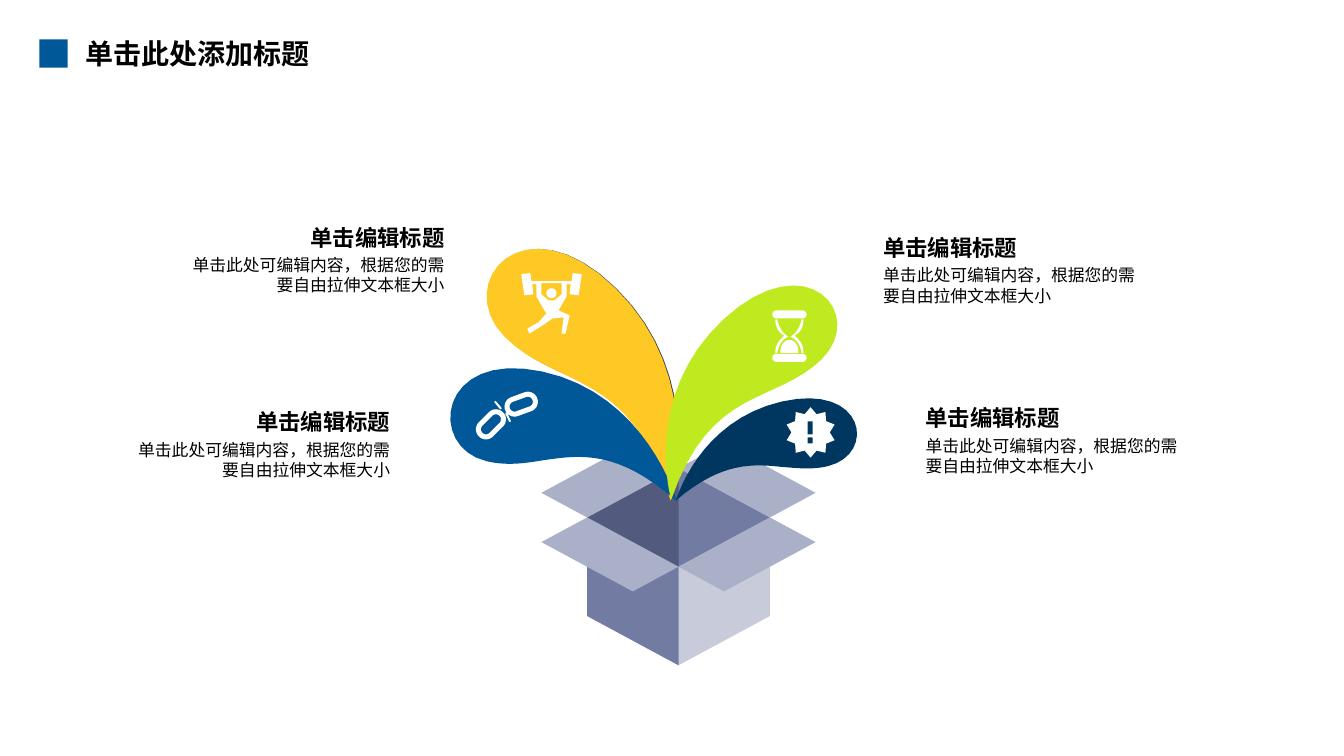
"""Build a slide with four petals and captions rising from an open box."""
from math import copysign, cos, pi, radians, sin

from lxml.etree import SubElement
from pptx import Presentation
from pptx.dml.color import RGBColor
from pptx.enum.shapes import MSO_SHAPE as Shape
from pptx.enum.text import MSO_AUTO_SIZE as Fit, PP_ALIGN as Align
from pptx.oxml.ns import qn
from pptx.util import Inches, Pt

TITLE = "单击此处添加标题"
HEAD = "单击编辑标题"
BODY = "单击此处可编辑内容，根据您的需要自由拉伸文本框大小"
CAPTIONS = [
    (8.76, 2.32, Align.LEFT),
    (4.41, 2.22, Align.RIGHT),
    (3.87, 4.05, Align.RIGHT),
    (9.18, 4.01, Align.LEFT),
]
HEX = {
    "blue": "005898", "navy": "003760", "gold": "FEC925", "lime": "BFEA1F",
    "shade": "404040", "white": "FFFFFF", "black": "000000",
    "pale": "C7CBDA", "mid": "727CA3", "deep": "525B7E", "flap": "AAB0C8",
}
HULL = [(0, 1), (2, 3), (2, 7), (0, 9)]
RIM = [(0, 1), (2, 3), (0, 5)]
SIDE = [(-2, 3), (-2, 7), (0, 9), (0, 5)]
FLAP = [(-3, 2), (-2, 3), (0, 1), (-1, 0)]

ARM = [(5.54, 3.08), (5.62, 2.94), (5.62, 2.82), (5.66, 2.82), (5.65, 2.92), (5.74, 2.93),
       (5.77, 2.72), (5.68, 2.71), (5.67, 2.79)]
LEGS = [(5.42, 3.11), (5.34, 3.2), (5.23, 3.26), (5.25, 3.31), (5.38, 3.23), (5.48, 3.16),
        (5.59, 3.15), (5.57, 3.31), (5.61, 3.31), (5.65, 3.13)]
GAP = [(5.5, 2.98), (5.57, 2.92), (5.57, 2.81)]
GLASS = [(7.95, 3.17), (7.97, 3.17), (7.97, 3.24, 7.94, 3.3, 7.88, 3.33),
         (7.94, 3.38, 7.97, 3.43, 7.97, 3.5), (7.95, 3.5), (7.94, 3.44, 7.91, 3.37, 7.84, 3.34),
         (7.9, 3.31, 7.94, 3.23, 7.95, 3.17)]
SAND = [(7.74, 3.5), (7.74, 3.33, 7.92, 3.33, 7.92, 3.5)]
GOLD = [(6.7, 4.97), (6.7, 4.97, 7.06, 3.75, 6.15, 2.86), (5.24, 1.97, 4.53, 2.81, 5.05, 3.34),
        (5.57, 3.87, 6.29, 3.64, 6.7, 4.97)]
BLUE = [(6.71, 4.98), (6.71, 4.98, 6.41, 3.91, 5.37, 3.69), (4.34, 3.47, 4.23, 4.44, 4.82, 4.58),
        (5.03, 4.63, 5.21, 4.6, 5.39, 4.57), (5.75, 4.52, 6.12, 4.46, 6.71, 4.98)]
LIME = [(6.7, 4.98), (6.7, 4.98, 6.4, 3.95, 7.22, 3.19), (8.04, 2.43, 8.65, 3.14, 8.19, 3.59),
        (7.72, 4.04, 7.09, 3.85, 6.7, 4.98)]
NAVY = [(6.71, 4.97), (6.71, 4.97, 6.93, 4.18, 7.76, 3.99), (8.59, 3.8, 8.7, 4.51, 8.22, 4.63),
        (8.06, 4.67, 7.91, 4.65, 7.77, 4.64), (7.48, 4.61, 7.17, 4.58, 6.71, 4.97)]


def flip(pts, x=None, y=None):
    """Mirror points about an upright line x and a level line y."""
    sums = (x, y)
    return [tuple(v if sums[i % 2] is None else 2 * sums[i % 2] - v
                  for i, v in enumerate(p)) for p in pts]


def pill(x, y, half, r, turn=0):
    """Outline a bar with round ends."""
    c, s = cos(radians(turn)), sin(radians(turn))
    loop = []
    for k in range(24):
        t = (k + 0.5) * pi / 12
        u, v = r * cos(t) + copysign(half, cos(t)), r * sin(t)
        loop.append((x + u * c - v * s, y + u * s + v * c))
    return loop


def block(x, y, w, h):
    """Outline a rectangle."""
    return [(x, y), (x + w, y), (x + w, y + h), (x, y + h)]


def burst(x, y, tips, far, near):
    """Outline a star."""
    return [(x + r * cos(t), y + r * sin(t)) for k in range(2 * tips)
            for r, t in [((near, far)[k % 2], k * pi / tips)]]


MAN = 5.47
LIFTER = [pill(MAN, 2.91, 0, 0.05), ARM + flip(ARM, x=MAN)[::-1] + LEGS,
          GAP + flip(GAP, x=MAN)[::-1]]
CHAIN = [pill(x, y, 0.07, r, turn) for x, y, turn in ((4.87, 4.21, -45), (5.17, 4.01, -20))
         for r in (0.1, 0.05)]
CHAIN += [pill(4.94, 4.02, 0.04, 0.01, 50), pill(5.04, 4.14, 0.04, 0.01, 65)]
HOURGLASS = [pill(7.83, 3.12, 0.13, 0.04), pill(7.83, 3.55, 0.13, 0.04),
             GLASS, flip(GLASS, x=7.83), SAND]
ALERT = [burst(8.04, 4.29, 10, 0.25, 0.19), block(8.01, 4.18, 0.05, 0.13),
         block(8.01, 4.34, 0.05, 0.06)]
PETALS = [
    ("shade", (5.83, 3.49), -10.5, GOLD, []),
    ("gold", (5.84, 3.49), -10.5, GOLD, LIFTER),
    ("blue", (5.5, 4.22), 2.9, BLUE, CHAIN),
    ("lime", (7.56, 3.66), -12.1, LIME, HOURGLASS),
    ("navy", (7.67, 4.39), -4.7, NAVY, ALERT),
]


def trace(pts, steps=16):
    """Turn corners and cubic curves into a list of points."""
    line = []
    for p in pts:
        if len(p) == 2:
            line.append(p)
            continue
        quad = [line[-1], p[:2], p[2:4], p[4:]]
        for t in (k / steps for k in range(1, steps + 1)):
            mix = ((1 - t) ** 3, 3 * t * (1 - t) ** 2, 3 * t * t * (1 - t), t ** 3)
            line.append(tuple(sum(m * q[a] for m, q in zip(mix, quad)) for a in (0, 1)))
    return line


def paint(shape, tint):
    """Give a shape a flat fill."""
    shape.shadow.inherit = False
    shape.fill.solid()
    shape.fill.fore_color.rgb = RGBColor.from_string(HEX[tint])
    shape.line.fill.background()


def draw(slide, tint, loops, hub=(0, 0), turn=0):
    """Draw closed outlines as one shape turned about its hub."""
    c, s = cos(radians(turn)), sin(radians(turn))

    def spot(p):
        x, y = p[0] - hub[0], p[1] - hub[1]
        return Inches(hub[0] + x * c + y * s), Inches(hub[1] - x * s + y * c)

    pen = None
    for loop in loops:
        pts = [spot(p) for p in trace(loop)]
        if pen:
            pen.move_to(*pts[0])
        else:
            pen = slide.shapes.build_freeform(*pts[0], scale=1.0)
        pen.add_line_segments(pts[1:], close=True)
    shape = pen.convert_to_shape()
    shape.rotation = turn
    paint(shape, tint)
    return shape


def write(slide, text, x, y, w, h, size=12, bold=False, face="Arial", align=Align.LEFT, inset=True):
    """Add a text box."""
    box = slide.shapes.add_textbox(*map(Inches, (x, y, w, h)))
    frame = box.text_frame
    frame.word_wrap = True
    frame.auto_size = Fit.SHAPE_TO_FIT_TEXT
    if not inset:
        frame.margin_left = frame.margin_right = frame.margin_top = frame.margin_bottom = 0
    para = frame.paragraphs[0]
    para.alignment = align
    run = para.add_run()
    run.text = text
    font = run.font
    font.size, font.bold, font.name = Pt(size), bold, face
    font.color.rgb = RGBColor.from_string(HEX["black"])
    SubElement(run._r.get_or_add_rPr(), qn("a:ea")).set("typeface", face)


def main():
    """Build and save the slide."""
    deck = Presentation()
    deck.slide_width, deck.slide_height = Inches(13.33), Inches(7.5)
    slide = deck.slides.add_slide(deck.slide_layouts[6])
    mark = slide.shapes.add_shape(Shape.RECTANGLE, *map(Inches, (0.39, 0.39, 0.28, 0.28)))
    paint(mark, "blue")
    write(slide, TITLE, 0.75, 0.31, 2.91, 0.44, size=20, bold=True, face="Noto Sans CJK SC")
    walls = [("pale", HULL + flip(HULL, x=0)[::-1]), ("mid", RIM + flip(RIM, x=0)[::-1]),
             ("mid", SIDE), ("deep", flip(RIM, x=0))]
    walls += [("flap", flip(FLAP, x, y)) for y in (None, 3) for x in (None, 0)]
    for tint, wall in walls:
        draw(slide, tint, [[(6.73 + i * 1.36 / 3, 4.4 + j * 2.2 / 9) for i, j in wall]])
    for tint, hub, turn, petal, icon in PETALS:
        leaf = draw(slide, tint, [petal], hub, turn)
        if tint == "shade":
            leaf.left += Inches(0.01)
        if icon:
            draw(slide, "white", icon)
    for x, y, align in CAPTIONS:
        for text, w, h, drop, size in ((HEAD, 2.14, 0.27, 0, 16), (BODY, 2.55, 0.4, 0.31, 12)):
            left = x - w if align == Align.RIGHT else x
            write(slide, text, left, y + drop, w, h, size=size, bold=text == HEAD,
                  align=align, inset=False)
    deck.save("out.pptx")


if __name__ == "__main__":
    main()
